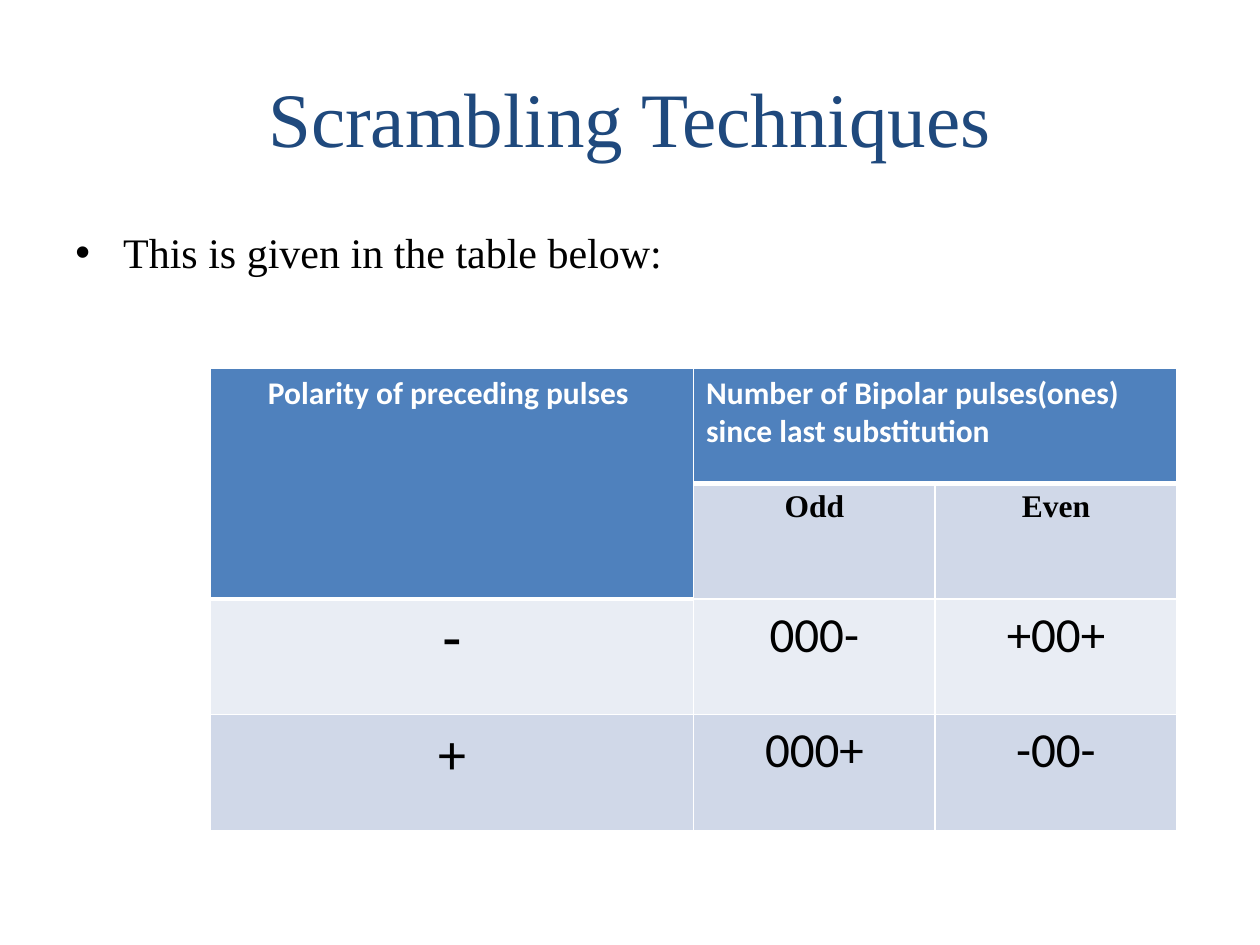
from dataclasses import dataclass

from lxml import etree
from pptx import Presentation
from pptx.dml.color import RGBColor
from pptx.enum.text import MSO_ANCHOR, PP_ALIGN
from pptx.oxml.ns import qn
from pptx.util import Inches, Pt

LEFT, MID = PP_ALIGN.LEFT, PP_ALIGN.CENTER
TOP, CENTER = MSO_ANCHOR.TOP, MSO_ANCHOR.MIDDLE


@dataclass(frozen=True)
class Theme:
    serif: str = "Times New Roman"
    sans: str = "Calibri"
    navy: str = "1F497D"
    blue: str = "4F81BD"
    band: str = "D0D8E8"
    pale: str = "E9EDF4"
    white: str = "FFFFFF"
    black: str = "000000"
    title: int = 44
    body: int = 24
    head: int = 18
    code: int = 28
    sign: int = 32
    thin: int = 1
    thick: int = 3


T = Theme()
TITLE = "Scrambling Techniques"
POINT = "This is given in the table below:"

# Style: font, size, colour, bold, alignment
HEAD = (T.sans, T.head, T.white, True, MID)
NOTE = (T.sans, T.head, T.white, True, LEFT)
SUB = (T.serif, T.head, T.black, True, MID)
MINUS = (T.serif, T.sign, T.black, True, MID)
PLUS = (T.sans, T.sign, T.black, False, MID)
CODE = (T.sans, T.code, T.black, False, MID)

ROWS = [
    [("Polarity of preceding pulses ", HEAD),
     ("Number of Bipolar pulses(ones) since last substitution", NOTE), None],
    [None, ("Odd", SUB), ("Even", SUB)],
    [("-", MINUS), ("000-", CODE), ("+00+", CODE)],
    [("+", PLUS), ("000+", CODE), ("-00-", CODE)],
]
FILLS = [T.blue, T.band, T.pale, T.band]
MERGES = [((0, 0), (1, 0)), ((0, 1), (0, 2))]
SHARES = [2, 1, 1]

WIDE, HIGH = Inches(10), Inches(7.5)
EDGE = WIDE // 20
GRID = Inches(1.67), Inches(2.92), Inches(7.67), Inches(3.67)


def write(frame, text, style):
    font, size, color, bold, align = style
    frame.text = text
    para = frame.paragraphs[0]
    para.alignment = align
    face = para.runs[0].font
    face.name, face.size, face.bold = font, Pt(size), bold
    face.color.rgb = RGBColor.from_string(color)
    return para


def add_text(slide, top, height, text, style, anchor):
    box = slide.shapes.add_textbox(EDGE, top, WIDE - 2 * EDGE, height)
    frame = box.text_frame
    frame.word_wrap = True
    frame.vertical_anchor = anchor
    return write(frame, text, style)


def add_bullet(para):
    para.space_before = Pt(0.2 * T.body)
    props = para._p.get_or_add_pPr()
    props.set("marL", str(Inches(0.38)))
    props.set("indent", str(-Inches(0.38)))
    etree.SubElement(props, qn("a:buFont"), typeface="Arial")
    etree.SubElement(props, qn("a:buChar"), char="•")


def is_thick(row, col):
    """Tell whether the edge above this cell closes the header."""
    return row == 1 or (row, col) == (2, 0)


def add_edges(cell, row, col):
    props = cell._tc.get_or_add_tcPr()
    heavy = {"T": is_thick(row, col), "B": is_thick(row + 1, col)}
    for side in "LRTB":
        size = T.thick if heavy.get(side) else T.thin
        line = etree.SubElement(props, qn("a:ln" + side), w=str(Pt(size)))
        fill = etree.SubElement(line, qn("a:solidFill"))
        etree.SubElement(fill, qn("a:srgbClr"), val=T.white)


def add_grid(slide):
    table = slide.shapes.add_table(len(ROWS), len(SHARES), *GRID).table
    for col, share in zip(table.columns, SHARES):
        col.width = GRID[2] * share // sum(SHARES)
    for r, row in enumerate(ROWS):
        for c, entry in enumerate(row):
            cell = table.cell(r, c)
            add_edges(cell, r, c)
            cell.fill.solid()
            color = FILLS[r] if entry else T.blue
            cell.fill.fore_color.rgb = RGBColor.from_string(color)
            if entry:
                write(cell.text_frame, *entry)
    for first, last in MERGES:
        table.cell(*first).merge(table.cell(*last))


def main():
    deck = Presentation()
    deck.slide_width, deck.slide_height = WIDE, HIGH
    slide = deck.slides.add_slide(deck.slide_layouts[6])
    add_text(slide, Inches(0.3), HIGH // 6, TITLE,
             (T.serif, T.title, T.navy, False, MID), CENTER)
    point = add_text(slide, Inches(1.75), Inches(4.95), POINT,
                     (T.serif, T.body, T.black, False, LEFT), TOP)
    add_bullet(point)
    add_grid(slide)
    deck.save("out.pptx")


if __name__ == "__main__":
    main()
